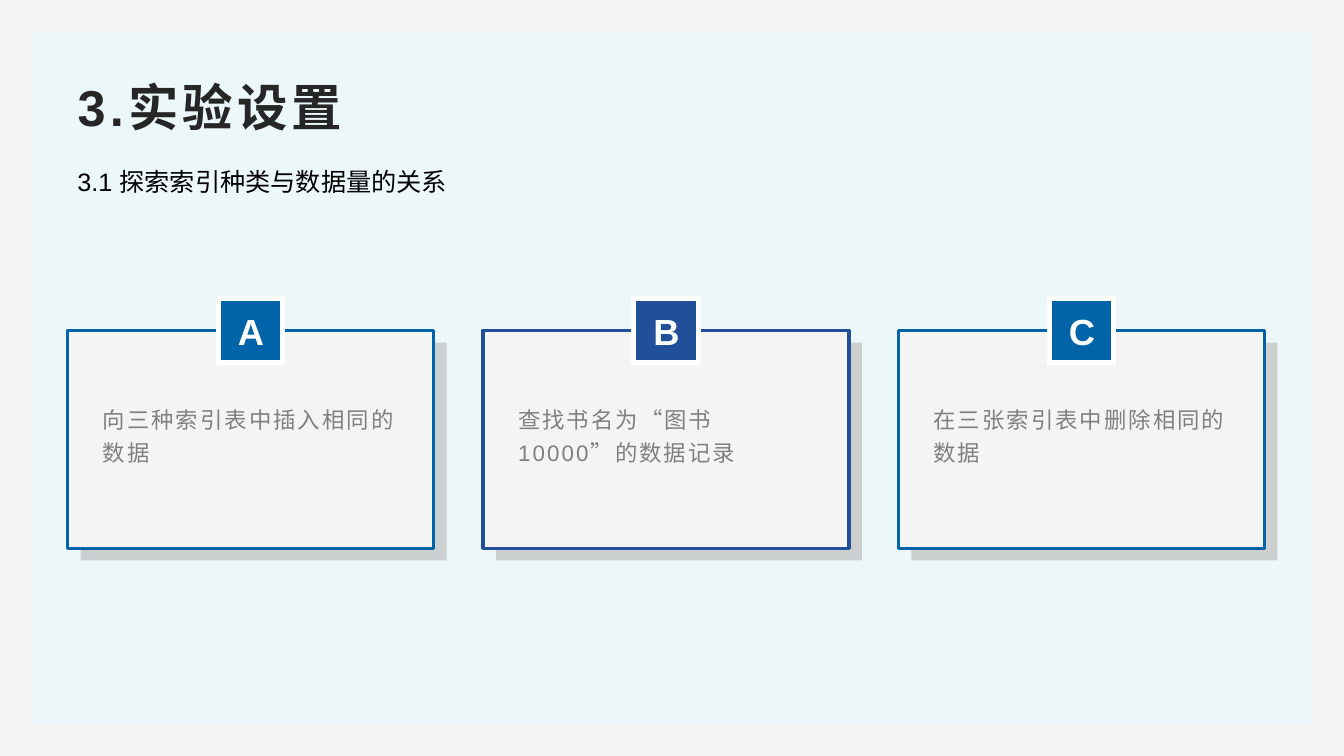
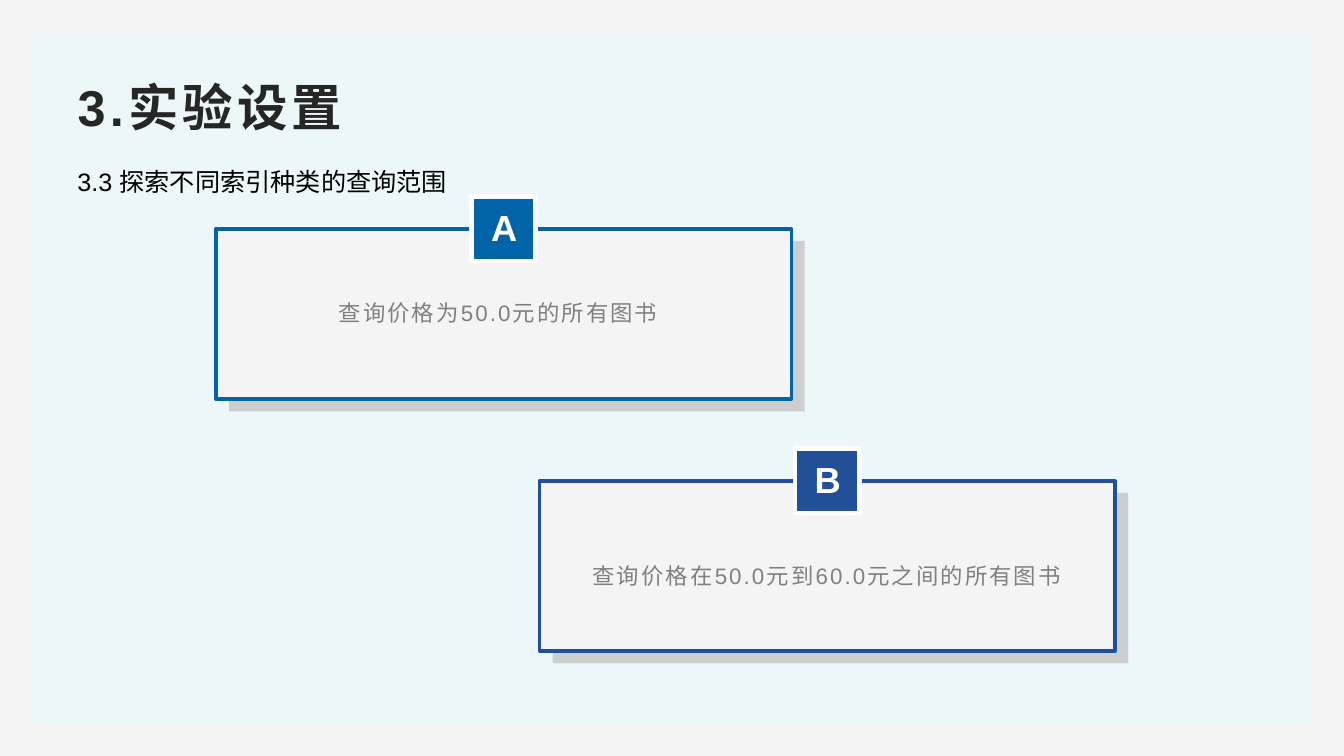
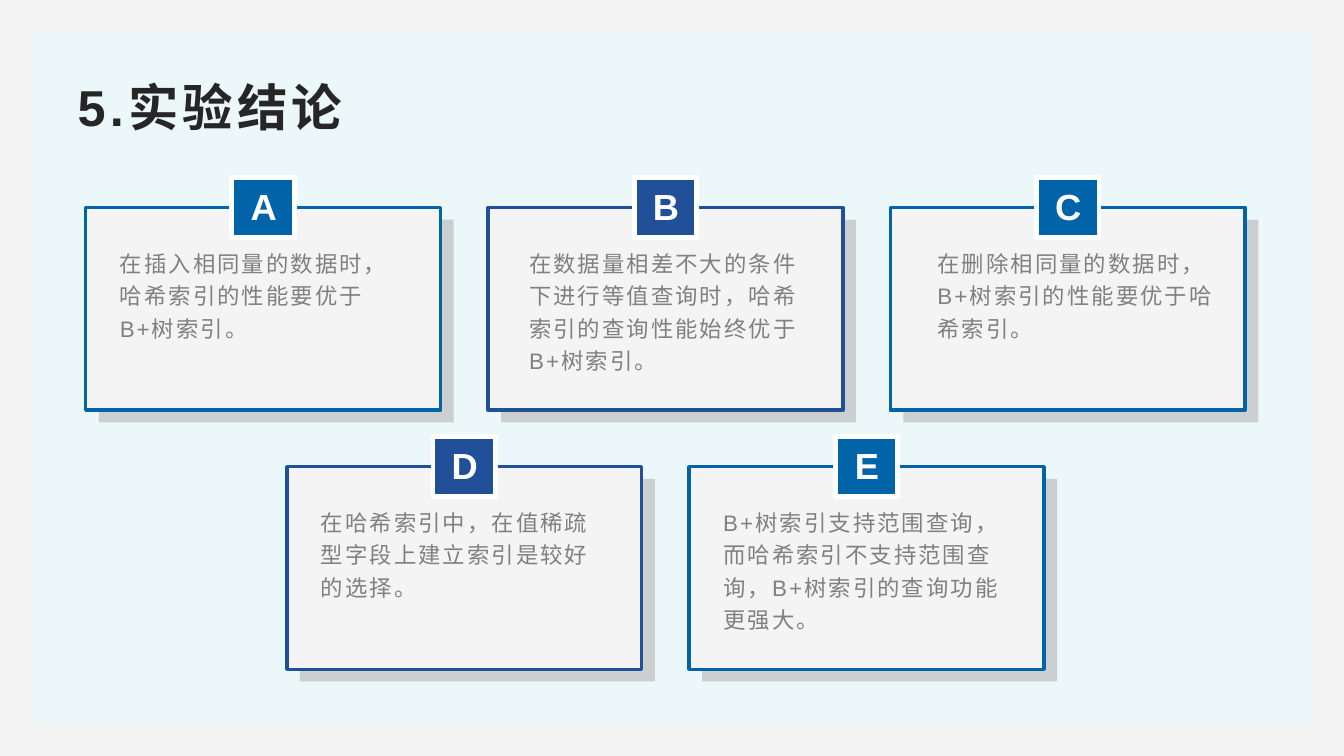
import dataclasses

import lxml.etree
import pptx
import pptx.dml.color
import pptx.enum.shapes
import pptx.enum.text
import pptx.oxml.ns
import pptx.util
from pptx.util import Inches


@dataclasses.dataclass(frozen=True)
class Theme:
    font: str = "Arial"
    background: str = "F4F4F5"
    panel: str = "ECF7FA"
    accents: tuple = ("0264A8", "215099")
    shade: str = "BFBFBF"
    white: str = "FFFFFF"
    title: str = "262626"
    subtitle: str = "000000"
    body: str = "808080"
    title_size: float = 36
    subtitle_size: float = 18
    body_size: float = 16
    letter_size: float = 25.9
    card_line: float = 2.5
    badge_line: float = 3.5


theme = Theme()
rgb = pptx.dml.color.RGBColor.from_string
align = pptx.enum.text.PP_ALIGN
auto_size = pptx.enum.text.MSO_AUTO_SIZE


def add_box(slide, left, top, width, height, fill, line=None, line_width=0):
    shape = slide.shapes.add_shape(
        pptx.enum.shapes.MSO_SHAPE.RECTANGLE,
        Inches(left), Inches(top), Inches(width), Inches(height))
    shape.shadow.inherit = False
    shape.fill.solid()
    shape.fill.fore_color.rgb = rgb(fill)
    if line:
        shape.line.color.rgb = rgb(line)
        shape.line.width = pptx.util.Pt(line_width)
    else:
        shape.line.fill.background()
    return shape


def write_text(shape, text, size, color, bold=False, spacing=0,
               alignment=align.LEFT, line_spacing=1.0):
    shape.text_frame.word_wrap = True
    paragraph = shape.text_frame.paragraphs[0]
    paragraph.alignment = alignment
    paragraph.line_spacing = line_spacing
    run = paragraph.add_run()
    run.text = text
    run.font.name = theme.font
    run.font.size = pptx.util.Pt(size)
    run.font.bold = bold
    run.font.color.rgb = rgb(color)
    properties = run.font._element
    properties.set("lang", "zh-CN")
    if spacing:
        properties.set("spc", str(int(spacing * 100)))


# Each card: left, top, body left offset, body top offset, text
step_wide, step_small = 4.12, 3.99
first_wide, first_small = 0.67, 0.85
row_one, row_two = 2.06, 4.63
deck = [
    {
        "title": "3.实验设置",
        "subtitle": "3.1 探索索引种类与数据量的关系",
        "card": (3.63, 2.16), "badge": (0.64, 0.64), "body": (3.12, 0.77),
        "letter_rise": 0.3, "letter_spacing": 1.1,
        "body_inset": 0, "alignment": align.LEFT,
        "cards": [
            (first_wide + index * step_wide, 3.28, 0.25, 0.7, text)
            for index, text in enumerate([
                "向三种索引表中插入相同的数据",
                "查找书名为“图书10000”的数据记录",
                "在三张索引表中删除相同的数据",
            ])
        ],
    },
    {
        "title": "3.实验设置",
        "subtitle": "3.3 探索不同索引种类的查询范围",
        "card": (5.71, 1.69), "badge": (0.64, 0.64), "body": (5.06, 0.42),
        "letter_rise": 0.28, "letter_spacing": 1.0,
        "body_inset": 0, "alignment": align.CENTER,
        "cards": [
            (2.14, 2.27, 0.27, 0.64, "查询价格为50.0元的所有图书"),
            (5.35, 4.77, 0.32, 0.75, "查询价格在50.0元到60.0元之间的所有图书"),
        ],
    },
    {
        "title": "5.实验结论",
        "subtitle": None,
        "card": (3.52, 2.01), "badge": (0.62, 0.6), "body": (3.04, 1.38),
        "letter_rise": 0.28, "letter_spacing": 1.0,
        "body_inset": 0.05, "alignment": align.LEFT,
        "cards": [
            (first_small + column * step_small, top, body_left, 0.32, text)
            for column, top, body_left, text in [
                (0, row_one, 0.24, "在插入相同量的数据时，哈希索引的性能要优于B+树索引。"),
                (1, row_one, 0.31, "在数据量相差不大的条件下进行等值查询时，哈希索引的查询性能始终优于B+树索引。"),
                (2, row_one, 0.37, "在删除相同量的数据时，B+树索引的性能要优于哈希索引。"),
                (0.5, row_two, 0.24, "在哈希索引中，在值稀疏型字段上建立索引是较好的选择。"),
                (1.5, row_two, 0.24, "B+树索引支持范围查询，而哈希索引不支持范围查询，B+树索引的查询功能更强大。"),
            ]
        ],
    },
]

presentation = pptx.Presentation()
presentation.slide_width = Inches(13.33)
presentation.slide_height = Inches(7.5)
title_only = presentation.slide_layouts[5]

# Shared background
background = presentation.slide_master.background.fill
background.solid()
background.fore_color.rgb = rgb(theme.background)

for content in deck:
    slide = presentation.slides.add_slide(title_only)

    # Panel behind everything
    panel = add_box(slide, 0.32, 0.33, 12.69, 6.84, theme.panel)
    slide.shapes._spTree.insert(2, panel._element)

    # Title and subtitle
    title = slide.shapes.title
    title.left, title.top = Inches(0.67), Inches(0.67)
    title.width, title.height = Inches(12), Inches(0.77)
    title.text_frame.auto_size = auto_size.NONE
    title.text_frame.vertical_anchor = pptx.enum.text.MSO_ANCHOR.MIDDLE
    write_text(title, content["title"], theme.title_size, theme.title,
               bold=True, spacing=3)
    if content["subtitle"]:
        subtitle = slide.shapes.add_textbox(
            Inches(0.67), Inches(1.6), Inches(4.99), Inches(0.4))
        subtitle.text_frame.auto_size = auto_size.SHAPE_TO_FIT_TEXT
        write_text(subtitle, content["subtitle"], theme.subtitle_size,
                   theme.subtitle)

    # Lettered cards
    width, height = content["card"]
    badge_width, badge_height = content["badge"]
    body_width, body_height = content["body"]
    for index, (left, top, body_left, body_top, text) in enumerate(content["cards"]):
        accent = theme.accents[index % 2]
        center = left + width / 2

        shade = add_box(slide, left + 0.13, top + 0.12, width, height, theme.shade)
        shade_color = shade.fill._xPr.find(".//" + pptx.oxml.ns.qn("a:srgbClr"))
        lxml.etree.SubElement(
            shade_color, pptx.oxml.ns.qn("a:alpha"), val="70000")
        add_box(slide, left, top, width, height, theme.background,
                accent, theme.card_line)
        add_box(slide, center - badge_width / 2, top - badge_height / 2,
                badge_width, badge_height, accent, theme.white, theme.badge_line)

        letter = slide.shapes.add_textbox(
            Inches(center - 0.25), Inches(top - content["letter_rise"]),
            Inches(0.51), Inches(0.57))
        write_text(letter, "ABCDE"[index], theme.letter_size, theme.white,
                   bold=True, alignment=align.CENTER,
                   line_spacing=content["letter_spacing"])

        body = slide.shapes.add_textbox(
            Inches(left + body_left), Inches(top + body_top),
            Inches(body_width), Inches(body_height))
        body.text_frame.margin_top = Inches(content["body_inset"])
        write_text(body, text, theme.body_size, theme.body, spacing=1.5,
                   alignment=content["alignment"], line_spacing=1.2)

presentation.save("out.pptx")
